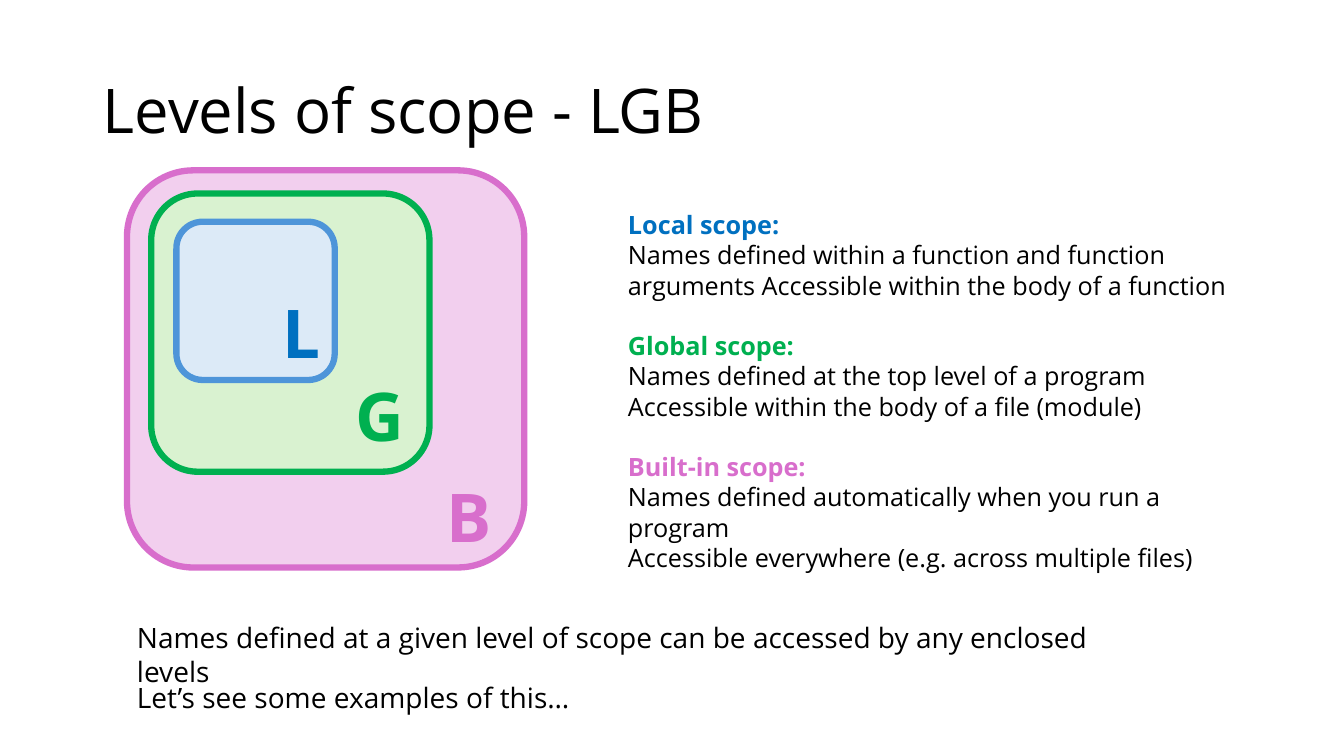
import pptx
import pptx.util
import pptx.dml.color
import pptx.enum.shapes
import pptx.enum.text

RGBColor = pptx.dml.color.RGBColor
BLACK = RGBColor(0x00, 0x00, 0x00)
LOCAL_BLUE = RGBColor(0x00, 0x70, 0xC0)
LOCAL_EDGE = RGBColor(0x4E, 0x95, 0xD9)
LOCAL_FILL = RGBColor(0xDC, 0xEA, 0xF7)
GLOBAL_GREEN = RGBColor(0x00, 0xB0, 0x50)
GLOBAL_FILL = RGBColor(0xD9, 0xF2, 0xD0)
BUILTIN_PINK = RGBColor(0xD8, 0x6E, 0xCC)
BUILTIN_FILL = RGBColor(0xF2, 0xCF, 0xEE)

FONT = "Open Sans"
EMU_PER_PX = 9144  # 100 px to the inch

# left, top, side, fill, edge, letter, letter left, letter top, letter colour
NESTED_SCOPES = [
    (126, 169, 394, BUILTIN_FILL, BUILTIN_PINK, "B", 433, 467, BUILTIN_PINK),
    (150, 192, 276, GLOBAL_FILL, GLOBAL_GREEN, "G", 343, 366, GLOBAL_GREEN),
    (175, 220, 157, LOCAL_FILL, LOCAL_EDGE, "L", 270, 284, LOCAL_BLUE),
]

DEFINITIONS = [
    ("Local scope:", LOCAL_BLUE, [
        "Names defined within a function and function arguments "
        "Accessible within the body of a function"]),
    ("Global scope:", GLOBAL_GREEN, [
        "Names defined at the top level of a program",
        "Accessible within the body of a file (module)"]),
    ("Built-in scope:", BUILTIN_PINK, [
        "Names defined automatically when you run a program",
        "Accessible everywhere (e.g. across multiple files)"]),
]

CLOSING_LINES = [
    (611, "Names defined at a given level of scope can be accessed "
          "by any enclosed levels"),
    (670, "Let’s see some examples of this…"),
]


def px(*lengths):
    return [pptx.util.Emu(length * EMU_PER_PX) for length in lengths]


def set_all(target, formats):
    for attribute, value in formats.items():
        setattr(target, attribute, value)


def add_text_frame(slide, left, top, width, height):
    frame = slide.shapes.add_textbox(*px(left, top, width, height)).text_frame
    frame.word_wrap = True
    return frame


def write(paragraph, words, size, colour=BLACK, bold=False):
    run = paragraph.add_run()
    run.text = words
    set_all(run.font, {"name": FONT, "size": pptx.util.Pt(size), "bold": bold})
    run.font.color.rgb = colour


def add_title(slide, words):
    frame = add_text_frame(slide, 92, 40, 1150, 145)
    frame.vertical_anchor = pptx.enum.text.MSO_ANCHOR.MIDDLE
    heading = frame.paragraphs[0]
    heading.line_spacing = 0.9
    write(heading, words, 44)


def add_scope_square(slide, left, top, side, fill, edge):
    square = slide.shapes.add_shape(
        pptx.enum.shapes.MSO_SHAPE.ROUNDED_RECTANGLE,
        *px(left, top, side, side))
    square.shadow.inherit = False
    square.fill.solid()
    square.fill.fore_color.rgb = fill
    square.line.color.rgb = edge
    square.line.width = pptx.util.Pt(4.5)


def add_scope_letter(slide, letter, left, top, colour):
    frame = add_text_frame(slide, left, top, 36, 91)
    write(frame.paragraphs[0], letter, 48, colour, bold=True)


def add_definitions(slide):
    frame = add_text_frame(slide, 613, 203, 641, 374)
    for index, (term, colour, sentences) in enumerate(DEFINITIONS):
        heading = frame.add_paragraph() if index else frame.paragraphs[0]
        if index:
            heading.space_before = pptx.util.Pt(21.6)
        write(heading, term, 18, colour, bold=True)
        for sentence in sentences:
            write(frame.add_paragraph(), sentence, 18)


def add_closing_line(slide, top, words):
    frame = add_text_frame(slide, 126, top, 1001, 44)
    write(frame.paragraphs[0], words, 20)


def main():
    deck = pptx.Presentation()
    deck.slide_width, deck.slide_height = px(1333, 750)
    slide = deck.slides.add_slide(deck.slide_layouts[6])

    add_title(slide, "Levels of scope - LGB")
    for left, top, side, fill, edge, *_ in NESTED_SCOPES:
        add_scope_square(slide, left, top, side, fill, edge)
    for *_, letter, left, top, colour in NESTED_SCOPES:
        add_scope_letter(slide, letter, left, top, colour)
    add_definitions(slide)
    for top, words in CLOSING_LINES:
        add_closing_line(slide, top, words)

    deck.save("out.pptx")


if __name__ == "__main__":
    main()
